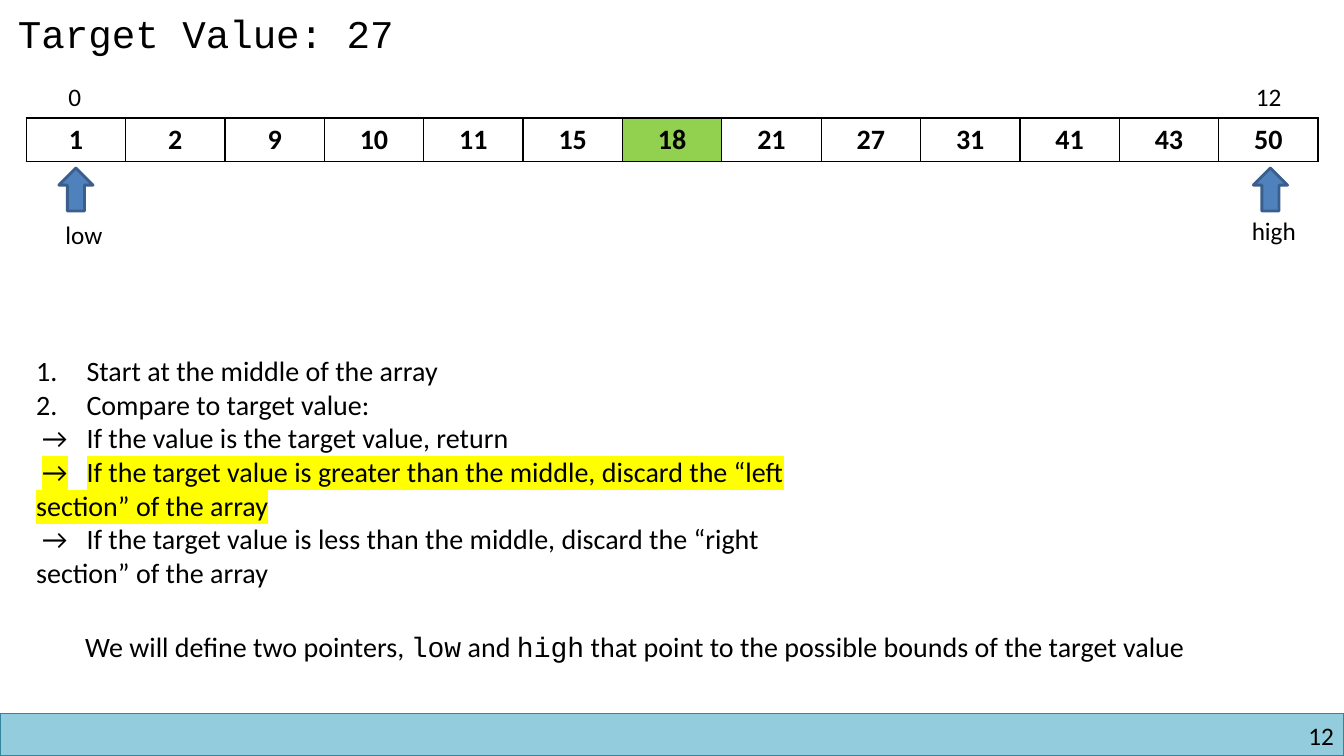
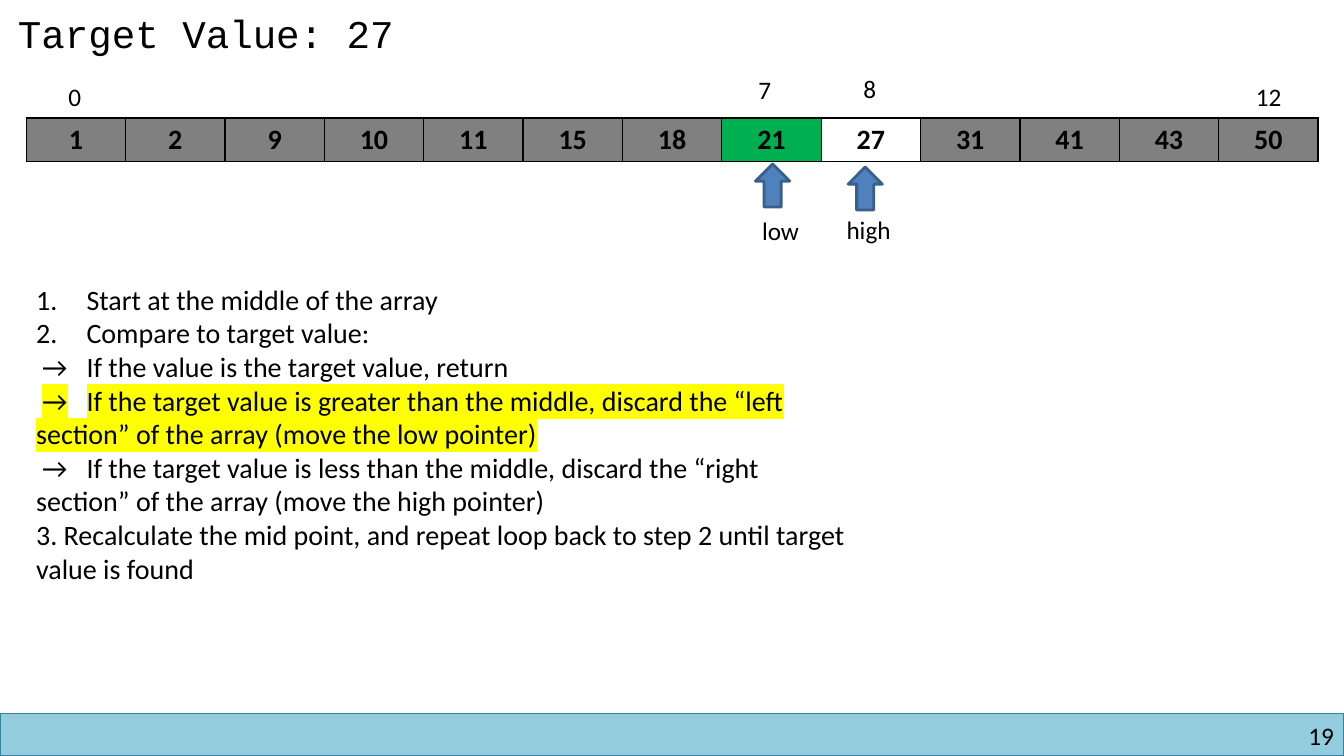
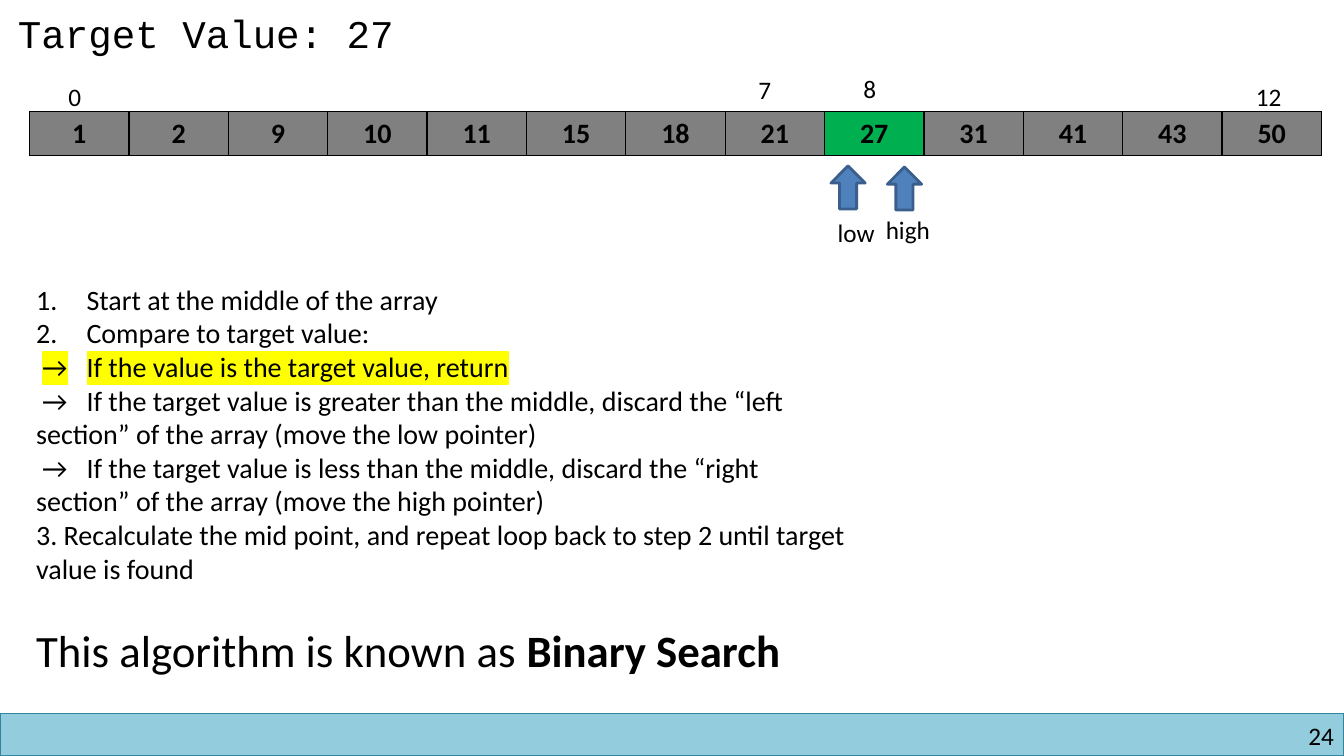
from lxml import etree
from pptx import Presentation
from pptx.dml.color import RGBColor
from pptx.enum.shapes import MSO_SHAPE as SHAPE
from pptx.enum.text import PP_ALIGN as ALIGN
from pptx.oxml.ns import qn
from pptx.util import Emu, Inches, Pt

COLORS = {
    "ink": "000000", "paper": "FFFFFF", "band": "93CDDD", "band_edge": "31859C",
    "arrow": "4F81BD", "arrow_edge": "3A5F8C", "discarded": "808080",
    "middle": "92D050", "found": "00B050", "marker": "FFFF00",
}
BODY, CODE = "Calibri", "Courier New"
WIDTH, HEIGHT = Inches(13.333), Inches(7.5)
MARGIN = 1.95
VALUES = [1, 2, 9, 10, 11, 15, 18, 21, 27, 31, 41, 43, 50]
LABEL_HEIGHT = 5.33
ENDS = [("0", 4.35, 10.13, 2.55), ("12", 92.7, 10.13, 3.6)]
NEIGHBOURS = [("7", 55.7, 9.2, 2.55), ("8", 63.5, 9.07, 2.55)]
POINTER_LABELS = {"low": (0.08, 5.6, 4.35), "high": (-0.53, 5.07, 5.1)}


def rgb(name):
    """Return a palette colour."""
    return RGBColor.from_string(COLORS[name])


def place(x, y, w, h):
    """Turn percentages of the slide into left, top, width and height."""
    return [Emu(round(share * side / 100))
            for share, side in zip((x, y, w, h), (WIDTH, HEIGHT) * 2)]


def set_font(paragraph, size, face=BODY, bold=None):
    """Give a paragraph its font."""
    font = paragraph.font
    font.size, font.name, font.bold = Pt(size), face, bold
    font.color.rgb = rgb("ink")


def add_text_frame(slide, box):
    """Add an empty wrapping text box and return its frame."""
    frame = slide.shapes.add_textbox(*place(*box)).text_frame
    frame.word_wrap = True
    return frame


def add_label(slide, text, box, size=18, face=BODY):
    """Add one line of text in a single font."""
    frame = add_text_frame(slide, box)
    frame.text = text
    set_font(frame.paragraphs[0], size, face)
    return frame


def add_remark(slide, parts, box, size):
    """Add a line of (text, face, bold) parts."""
    paragraph = add_text_frame(slide, box).paragraphs[0]
    set_font(paragraph, size)
    for text, face, bold in parts:
        run = paragraph.add_run()
        run.text = text
        run.font.name, run.font.bold = face, bold


def add_solid(slide, preset, box, fill, edge, weight):
    """Add a filled and outlined preset shape."""
    shape = slide.shapes.add_shape(preset, *place(*box))
    shape.shadow.inherit = False
    shape.fill.solid()
    shape.fill.fore_color.rgb = rgb(fill)
    shape.line.color.rgb = rgb(edge)
    shape.line.width = Pt(weight)
    return shape


def add_borders(cell):
    """Draw thin lines around a table cell."""
    properties = cell._tc.get_or_add_tcPr()
    for position, side in enumerate(("lnL", "lnR", "lnT", "lnB")):
        line = etree.Element(qn(f"a:{side}"), w=str(Pt(1)))
        fill = etree.SubElement(line, qn("a:solidFill"))
        etree.SubElement(fill, qn("a:srgbClr"), val=COLORS["ink"])
        properties.insert(position, line)


def add_array(slide, x, y, default, special):
    """Add the array as a table, with special fills by index."""
    box = place(x, y, 96.15, 5.73)
    table = slide.shapes.add_table(1, len(VALUES), *box).table
    table.first_row = table.horz_banding = False
    for index, value in enumerate(VALUES):
        table.columns[index].width = Emu(box[2] // len(VALUES))
        cell = table.cell(0, index)
        cell.text = str(value)
        cell.fill.solid()
        cell.fill.fore_color.rgb = rgb(special.get(index, default))
        add_borders(cell)
        paragraph = cell.text_frame.paragraphs[0]
        paragraph.alignment = ALIGN.CENTER
        set_font(paragraph, 20, bold=True)


def add_pointer(slide, name, x, y):
    """Add an upward arrow with its pointer name below."""
    arrow = add_solid(slide, SHAPE.RIGHT_ARROW, (x, y, 3.2, 4.53),
                      "arrow", "arrow_edge", 2)
    arrow.rotation = 270
    dx, dy, width = POINTER_LABELS[name]
    add_label(slide, name, (x + dx, y + dy, width, LABEL_HEIGHT))


def indent(paragraph, left, first):
    """Set the left margin and first line indent, and return the properties."""
    properties = paragraph._p.get_or_add_pPr()
    properties.set("marL", str(Inches(left)))
    properties.set("indent", str(Inches(first)))
    return properties


def number_step(paragraph):
    """Number a paragraph automatically."""
    properties = indent(paragraph, 0.5, -0.5)
    etree.SubElement(properties, qn("a:buAutoNum"), type="arabicPeriod")


def tab_case(paragraph):
    """Set the tab stop that follows the arrow of a case."""
    tabs = etree.SubElement(indent(paragraph, 0, 0.06), qn("a:tabLst"))
    etree.SubElement(tabs, qn("a:tab"), pos=str(Inches(0.44)), algn="l")


def highlight(run):
    """Mark a run in yellow."""
    marker = etree.SubElement(run._r.get_or_add_rPr(), qn("a:highlight"))
    etree.SubElement(marker, qn("a:srgbClr"), val=COLORS["marker"])


def add_steps(slide, y, h, marked, complete=True):
    """List the steps of the search with one of them marked."""
    move_low, move_high = ("", "")
    if complete:
        move_low, move_high = (f" (move the {name} pointer)" for name in POINTER_LABELS)
    steps = [
        ("Start at the middle of the array", number_step),
        ("Compare to target value:", number_step),
        ("→\tIf the value is the target value, return", tab_case),
        ("→\tIf the target value is greater than the middle, discard the "
         f"“left section” of the array{move_low}", tab_case),
        ("→\tIf the target value is less than the middle, discard the "
         f"“right section” of the array{move_high}", tab_case),
    ]
    if complete:
        steps.append(("3. Recalculate the mid point, and repeat loop back to step 2 "
                      "until target value is found", None))
    frame = add_text_frame(slide, (MARGIN, y, 61.8, h))
    for index, (text, style) in enumerate(steps):
        paragraph = frame.add_paragraph() if index else frame.paragraphs[0]
        run = paragraph.add_run()
        run.text = text
        if style:
            style(paragraph)
        if index == marked:
            highlight(run)
        set_font(paragraph, 20)


def add_slide(deck, number, indices):
    """Add a slide with the band, number, title and array indices."""
    slide = deck.slides.add_slide(deck.slide_layouts[6])
    add_solid(slide, SHAPE.RECTANGLE, (0, 94.4, 100, 5.6), "band", "band_edge", 1)
    footer = add_label(slide, number, (76.25, 95.33, 23, 4))
    footer.margin_left = footer.margin_right = 0
    footer.margin_top = footer.margin_bottom = 0
    footer.paragraphs[0].alignment = ALIGN.RIGHT
    add_label(slide, "Target Value: 27", (0.6, 0.53, 29.7, 7.6), 28, CODE)
    for text, x, y, w in indices:
        add_label(slide, text, (x, y, w, LABEL_HEIGHT))
    return slide


def main():
    """Build the three slides."""
    deck = Presentation()
    deck.slide_width, deck.slide_height = WIDTH, HEIGHT

    start = add_slide(deck, "12", ENDS)
    add_array(start, MARGIN, 15.6, "paper", {6: "middle"})
    add_steps(start, 46.13, 37.2, marked=3, complete=False)
    add_remark(start, [
        ("We will define two pointers, ", BODY, None), ("low", CODE, None),
        (" and ", BODY, None), ("high", CODE, None),
        (" that point to the possible bounds of the target value", BODY, None),
    ], (5.6, 82.67, 89.3, 5.87), 20)
    add_pointer(start, "low", 4.05, 22.8)
    add_pointer(start, "high", 92.93, 22.8)

    narrowed = add_slide(deck, "19", ENDS + NEIGHBOURS)
    add_array(narrowed, MARGIN, 15.6, "discarded", {7: "found", 8: "paper"})
    add_steps(narrowed, 36.67, 46.27, marked=3)
    add_pointer(narrowed, "low", 55.88, 22.27)
    add_pointer(narrowed, "high", 62.78, 22.67)

    found = add_slide(deck, "24", ENDS + NEIGHBOURS)
    add_array(found, 2.2, 14.8, "discarded", {8: "found"})
    add_steps(found, 36.67, 46.27, marked=2)
    add_pointer(found, "low", 61.5, 22.53)
    add_pointer(found, "high", 65.7, 22.67)
    add_remark(found, [("This algorithm is known as ", BODY, None),
                       ("Binary Search", BODY, True)],
               (MARGIN, 81.73, 64.65, 8.53), 32)

    deck.save("out.pptx")


if __name__ == "__main__":
    main()
